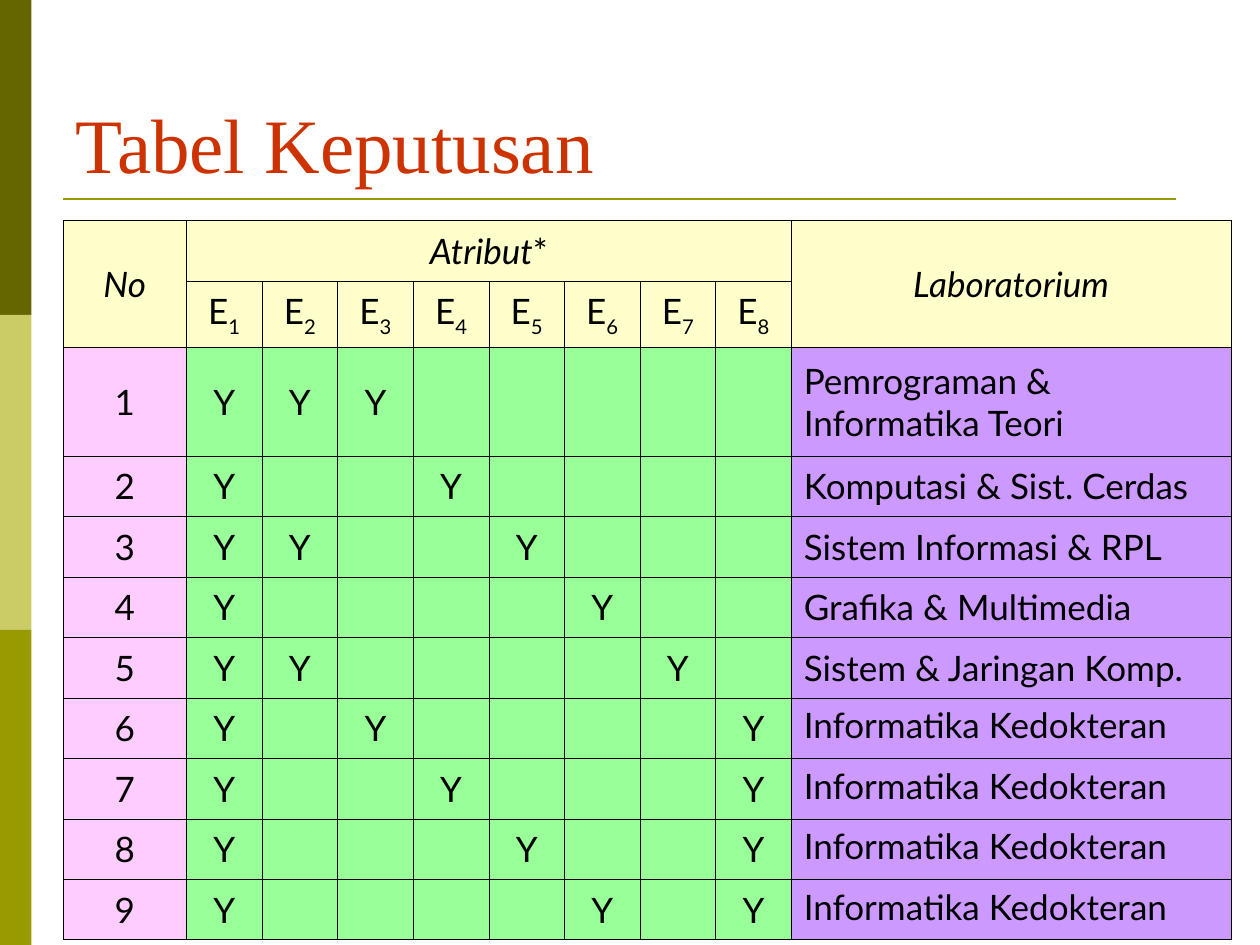
from dataclasses import dataclass

import pptx
import pptx.dml.color
import pptx.enum.shapes
import pptx.enum.text
import pptx.oxml
import pptx.oxml.ns
import pptx.util
from pptx.util import Inches

COLORS = {
    "title": "CC3300",
    "text": "000000",
    "border": "000000",
    "olive_dark": "666600",
    "olive_light": "CCCC66",
    "olive": "999900",
    "header": "FFFFCC",
    "number": "FFCCFF",
    "mark": "99FF99",
    "lab": "CC99FF",
}
CENTER = pptx.enum.text.PP_ALIGN.CENTER
LEFT = pptx.enum.text.PP_ALIGN.LEFT
MIDDLE = pptx.enum.text.MSO_ANCHOR.MIDDLE
TOP = pptx.enum.text.MSO_ANCHOR.TOP
ATTRIBUTE_COUNT = 8
HEADER_ROWS = 2
LAB_COLUMN = ATTRIBUTE_COUNT + 1
COLUMN_WIDTHS = [0.98] + [0.6] * ATTRIBUTE_COUNT + [3.49]
ROW_HEIGHTS = [0.48, 0.53, 0.86] + [0.48] * 8


@dataclass
class Decision:
    attributes: tuple[int, ...]
    lab: str
    anchor: pptx.enum.text.MSO_ANCHOR = MIDDLE


DECISIONS = [
    Decision((1, 2, 3), "Pemrograman & Informatika Teori"),
    Decision((1, 4), "Komputasi & Sist. Cerdas"),
    Decision((1, 2, 5), "Sistem Informasi & RPL"),
    Decision((1, 6), "Grafika & Multimedia"),
    Decision((1, 2, 7), "Sistem & Jaringan Komp."),
] + [Decision((1, n, 8), "Informatika Kedokteran", TOP) for n in (3, 4, 5, 6)]


@dataclass
class Piece:
    text: str
    italic: bool = False
    subscript: bool = False


def rgb(name: str) -> pptx.dml.color.RGBColor:
    return pptx.dml.color.RGBColor.from_string(COLORS[name])


def add_run(paragraph, piece: Piece, font: str, size: float, color: str) -> None:
    run = paragraph.add_run()
    run.text = piece.text
    run.font.name = font
    run.font.size = pptx.util.Pt(size)
    run.font.color.rgb = rgb(color)
    run.font.italic = piece.italic
    if piece.subscript:
        run.font._element.set("baseline", "-30000")


def add_side_band(slide, index: int, color: str) -> None:
    band = slide.shapes.add_shape(
        pptx.enum.shapes.MSO_SHAPE.RECTANGLE,
        Inches(0), Inches(2.5 * index), Inches(0.25), Inches(2.5))
    band.shadow.inherit = False
    band.fill.solid()
    band.fill.fore_color.rgb = rgb(color)
    band.line.fill.background()


def add_title_rule(slide) -> None:
    rule = slide.shapes.add_connector(
        pptx.enum.shapes.MSO_CONNECTOR.STRAIGHT,
        Inches(0.5), Inches(1.58), Inches(9.33), Inches(1.58))
    rule.line.color.rgb = rgb("olive")
    rule.line.width = pptx.util.Pt(1.5)
    rule._element.spPr.append(pptx.oxml.parse_xml(
        f'<a:effectLst {pptx.oxml.ns.nsdecls("a")}/>'))


def add_title(slide, text: str) -> None:
    frame = slide.shapes.add_textbox(
        Inches(0.5), Inches(0.3), Inches(9), Inches(1.25)).text_frame
    frame.word_wrap = True
    frame.vertical_anchor = pptx.enum.text.MSO_ANCHOR.BOTTOM
    add_run(frame.paragraphs[0], Piece(text), "Times New Roman", 44, "title")


def set_borders(cell) -> None:
    """Draw thin lines on all four sides; they must precede the fill in the XML."""
    properties = cell._tc.get_or_add_tcPr()
    for position, side in enumerate(("lnL", "lnR", "lnT", "lnB")):
        properties.insert(position, pptx.oxml.parse_xml(
            f'<a:{side} {pptx.oxml.ns.nsdecls("a")} w="{pptx.util.Pt(0.45)}">'
            f'<a:solidFill><a:srgbClr val="{COLORS["border"]}"/></a:solidFill>'
            f'</a:{side}>'))


def write_cell(cell, *pieces: Piece, align=CENTER, anchor=MIDDLE) -> None:
    cell.vertical_anchor = anchor
    paragraph = cell.text_frame.paragraphs[0]
    paragraph.alignment = align
    for piece in pieces:
        add_run(paragraph, piece, "Lato", 20, "text")


def cell_color(row: int, column: int) -> str:
    if row < HEADER_ROWS:
        return "header"
    return {0: "number", LAB_COLUMN: "lab"}.get(column, "mark")


def add_decision_table(slide) -> None:
    table = slide.shapes.add_table(
        len(ROW_HEIGHTS), len(COLUMN_WIDTHS), Inches(0.5), Inches(1.75),
        Inches(sum(COLUMN_WIDTHS)), Inches(sum(ROW_HEIGHTS))).table
    table.first_row = False
    table.horz_banding = False
    for column, width in zip(table.columns, COLUMN_WIDTHS):
        column.width = Inches(width)
    for row, height in zip(table.rows, ROW_HEIGHTS):
        row.height = Inches(height)
    for r in range(len(ROW_HEIGHTS)):
        for c in range(len(COLUMN_WIDTHS)):
            cell = table.cell(r, c)
            cell.fill.solid()
            cell.fill.fore_color.rgb = rgb(cell_color(r, c))
            set_borders(cell)

    for column in (0, LAB_COLUMN):
        table.cell(0, column).merge(table.cell(1, column))
    table.cell(0, 1).merge(table.cell(0, ATTRIBUTE_COUNT))
    write_cell(table.cell(0, 0), Piece("No", italic=True))
    write_cell(table.cell(0, 1), Piece("Atribut", italic=True), Piece("*"))
    write_cell(table.cell(0, LAB_COLUMN), Piece("Laboratorium", italic=True))
    for number in range(1, ATTRIBUTE_COUNT + 1):
        write_cell(table.cell(1, number), Piece("E"),
                   Piece(str(number), subscript=True))

    for number, decision in enumerate(DECISIONS, start=1):
        row = number + HEADER_ROWS - 1
        write_cell(table.cell(row, 0), Piece(str(number)))
        for attribute in decision.attributes:
            write_cell(table.cell(row, attribute), Piece("Y"))
        write_cell(table.cell(row, LAB_COLUMN), Piece(decision.lab),
                   align=LEFT, anchor=decision.anchor)


def main() -> None:
    presentation = pptx.Presentation()
    presentation.slide_width = Inches(10)
    presentation.slide_height = Inches(7.5)
    slide = presentation.slides.add_slide(presentation.slide_layouts[6])
    for index, color in enumerate(("olive_dark", "olive_light", "olive")):
        add_side_band(slide, index, color)
    add_title_rule(slide)
    add_title(slide, "Tabel Keputusan")
    add_decision_table(slide)
    presentation.save("out.pptx")


if __name__ == "__main__":
    main()
